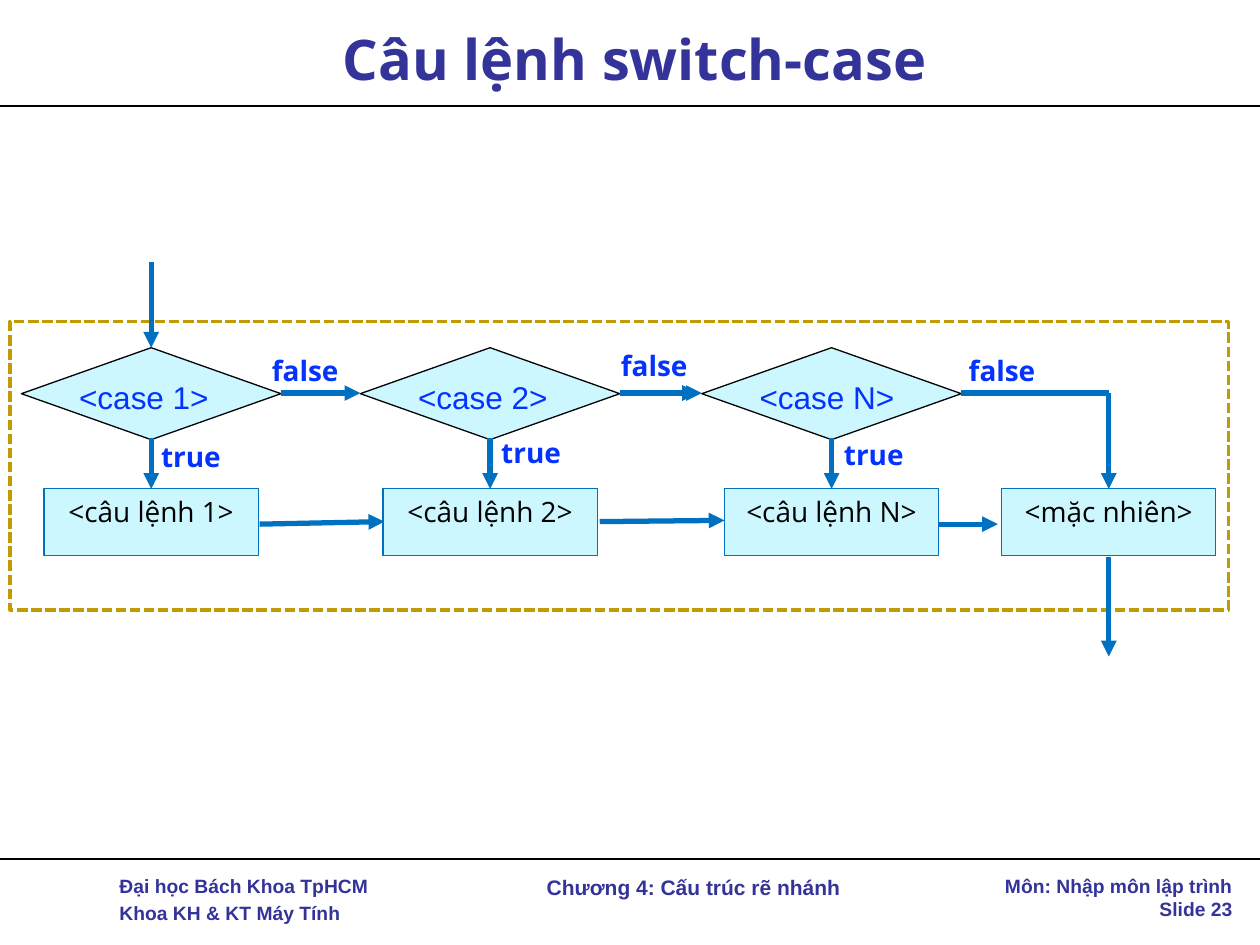
from dataclasses import dataclass

from lxml.etree import SubElement
from pptx import Presentation
from pptx.dml.color import RGBColor
from pptx.enum.dml import MSO_LINE
from pptx.enum.shapes import MSO_CONNECTOR, MSO_SHAPE
from pptx.enum.text import MSO_ANCHOR, PP_ALIGN
from pptx.oxml.ns import qn
from pptx.util import Inches, Pt


@dataclass(frozen=True)
class Theme:
    """Colours, fonts and type sizes of the slide."""
    heading: str = "333399"
    label: str = "0432FF"
    ink: str = "000000"
    flow: str = "0070C0"
    frame: str = "C09C00"
    box: str = "CCF7FF"
    sans: str = "Arial"
    open_sans: str = "Open Sans"
    title_size: int = 32
    case_size: int = 18
    body_size: int = 16
    chapter_size: int = 12
    footer_size: int = 11


class FlowSlide:
    """Draws styled elements on one slide."""

    def __init__(self, slide, theme):
        """Keep the slide and its theme."""
        self.shapes = slide.shapes
        self.theme = theme

    def set_words(self, frame, words, size, color, font, bold=False,
                  align=PP_ALIGN.LEFT, gap=0):
        """Fill a text frame and format every run."""
        frame.text = words
        for index, paragraph in enumerate(frame.paragraphs):
            paragraph.alignment = align
            if index:
                paragraph.space_before = Pt(gap)
            for run in paragraph.runs:
                run.font.size = Pt(size)
                run.font.name = font
                run.font.bold = bold
                run.font.color.rgb = RGBColor.from_string(color)

    def text(self, words, left, top, width, height, size, color, font,
             wrap=True, anchor=MSO_ANCHOR.TOP, **style):
        """Add a text box."""
        place = [Inches(v) for v in (left, top, width, height)]
        frame = self.shapes.add_textbox(*place).text_frame
        frame.word_wrap = wrap
        frame.vertical_anchor = anchor
        self.set_words(frame, words, size, color, font, **style)

    def shape(self, kind, left, top, width, height, outline, weight, fill=None):
        """Add a preset shape with its outline and optional fill."""
        place = [Inches(v) for v in (left, top, width, height)]
        figure = self.shapes.add_shape(kind, *place)
        figure.shadow.inherit = False
        if fill:
            figure.fill.solid()
            figure.fill.fore_color.rgb = RGBColor.from_string(fill)
        else:
            figure.fill.background()
        figure.line.color.rgb = RGBColor.from_string(outline)
        figure.line.width = Pt(weight)
        return figure

    def line(self, x1, y1, x2, y2, color, weight, arrow=False):
        """Add a straight line, with an arrowhead at its end if wanted."""
        ends = [Inches(v) for v in (x1, y1, x2, y2)]
        link = self.shapes.add_connector(MSO_CONNECTOR.STRAIGHT, *ends)
        link.line.color.rgb = RGBColor.from_string(color)
        link.line.width = Pt(weight)
        properties = link._element.spPr
        if arrow:
            SubElement(properties.find(qn("a:ln")), qn("a:tailEnd"),
                       type="triangle")
        SubElement(properties, qn("a:effectLst"))

    def flow(self, x1, y1, x2, y2, arrow=True):
        """Add a flow arrow."""
        self.line(x1, y1, x2, y2, self.theme.flow, 3, arrow)

    def rule(self, y):
        """Add a thin rule across the slide."""
        self.line(0, y, 10, y, self.theme.ink, 1)

    def statement(self, words, center):
        """Add a statement box around a centre line."""
        t = self.theme
        box = self.shape(MSO_SHAPE.RECTANGLE, center - 0.85, BOX_TOP, 1.7, 0.53,
                         t.flow, 0.75, t.box)
        box.text_frame.vertical_anchor = MSO_ANCHOR.TOP
        box.text_frame.word_wrap = True
        self.set_words(box.text_frame, words, t.body_size, t.ink, t.open_sans,
                       align=PP_ALIGN.CENTER)

    def decision(self, words, center):
        """Add a case diamond with its caption and the arrow below it."""
        t = self.theme
        self.shape(MSO_SHAPE.DIAMOND, center - HALF, 2.76, 2 * HALF, 0.73,
                   t.ink, 0.75, t.box)
        self.text(words, center - 0.67, 2.95, 1.3, 0.4, t.case_size, t.label,
                  t.sans, wrap=False)
        self.flow(center, 3.48, center, BOX_TOP)

    def branch(self, words, left, top, width):
        """Add a true or false label."""
        t = self.theme
        self.text(words, left, top, width, 0.37, t.body_size, t.label,
                  t.open_sans, wrap=False, bold=True)

    def footer(self, words, left, width, height, size, **style):
        """Add a footer text."""
        t = self.theme
        self.text(words, left, 6.89, width, height, size, t.heading, t.sans,
                  bold=True, **style)


HALF = 1.03
BOX_TOP = 3.88
CASE_Y = 3.12
DEFAULT_X = 8.8
# case name, centre, true label left and top, false label left and top
CASES = [
    ("1", 1.2, 1.18, 3.44, 2.06, 2.76),
    ("2", 3.89, 3.88, 3.41, 4.83, 2.72),
    ("N", 6.6, 6.6, 3.42, 7.59, 2.76),
]
STATEMENT_LINKS = [
    (2.06, 4.16, 3.05, 4.14),
    (4.76, 4.14, 5.75, 4.13),
    (7.45, 4.16, 7.92, 4.16),
]


def draw_page(page):
    """Draw the title, rules and footer."""
    t = page.theme
    page.footer("Đại học Bách Khoa TpHCM\nKhoa KH & KT Máy Tính",
                0.85, 2.33, 0.51, t.footer_size, gap=2.2)
    page.footer("Môn: Nhập môn lập trình\nSlide 23",
                7.83, 2.05, 0.47, t.footer_size, align=PP_ALIGN.RIGHT)
    page.footer("Chương 4: Cấu trúc rẽ nhánh",
                3.18, 4.65, 0.3, t.chapter_size, align=PP_ALIGN.CENTER)
    page.rule(6.82)
    page.rule(0.84)
    page.text("Câu lệnh switch-case", 0.33, 0.08, 9.42, 0.76, t.title_size,
              t.heading, t.open_sans, anchor=MSO_ANCHOR.MIDDLE, bold=True,
              align=PP_ALIGN.CENTER)


def draw_flowchart(page):
    """Draw the switch-case flowchart."""
    frame = page.shape(MSO_SHAPE.RECTANGLE, 0.08, 2.55, 9.67, 2.29,
                       page.theme.frame, 2)
    frame.line.dash_style = MSO_LINE.SQUARE_DOT
    centers = [case[1] for case in CASES]
    for name, center, *_ in CASES:
        page.statement(f"<câu lệnh {name}>", center)
        page.decision(f"<case {name}>", center)
    page.statement("<mặc nhiên>", DEFAULT_X)

    page.flow(centers[0], 2.08, centers[0], 2.76)
    for start, end in zip(centers, centers[1:]):
        page.flow(start + HALF, CASE_Y, end - HALF, CASE_Y)
    page.flow(4.92, CASE_Y, 5.54, CASE_Y)
    page.flow(centers[-1] + HALF, CASE_Y, DEFAULT_X, CASE_Y, arrow=False)
    page.flow(DEFAULT_X, CASE_Y, DEFAULT_X, BOX_TOP)
    for link in STATEMENT_LINKS:
        page.flow(*link)
    page.flow(DEFAULT_X, 4.42, DEFAULT_X, 5.21)

    for _, _, true_left, true_top, false_left, false_top in CASES:
        page.branch("true", true_left, true_top, 0.67)
        page.branch("false", false_left, false_top, 0.74)


def main():
    """Build and save the slide."""
    deck = Presentation()
    deck.slide_width = Inches(10)
    deck.slide_height = Inches(7.5)
    page = FlowSlide(deck.slides.add_slide(deck.slide_layouts[6]), Theme())
    draw_page(page)
    draw_flowchart(page)
    deck.save("out.pptx")


main()
